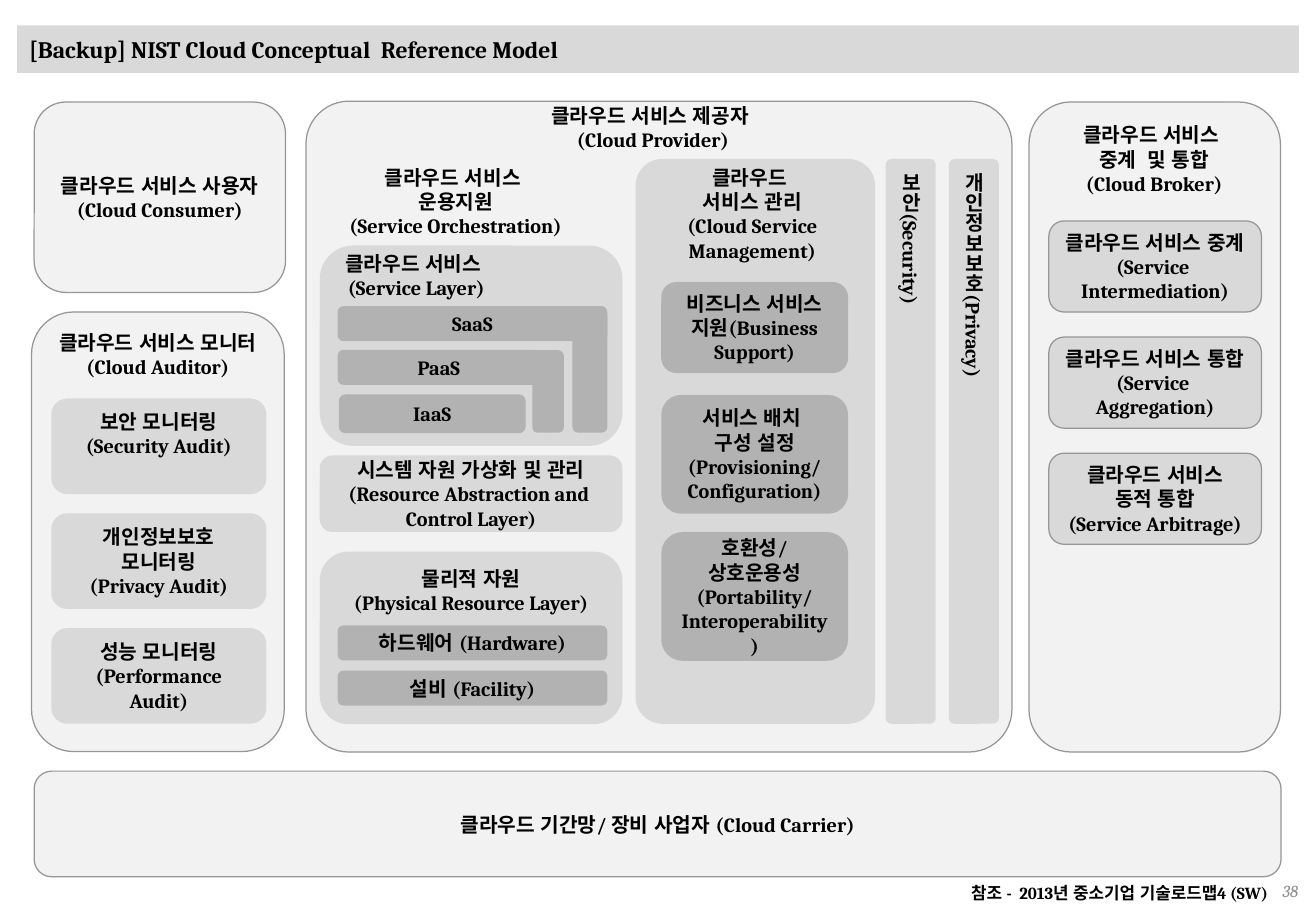
from dataclasses import dataclass
from typing import Optional

from pptx import Presentation
from pptx.dml.color import RGBColor
from pptx.enum.lang import MSO_LANGUAGE_ID as Lang
from pptx.enum.shapes import MSO_SHAPE as Shape
from pptx.enum.text import MSO_ANCHOR as Anchor, PP_ALIGN as Align
from pptx.util import Inches, Pt

WIDTH, HEIGHT = 10.83, 7.5
FONT = "Cambria"
BLACK, GRAY = "000000", "8C8C8C"
PANEL, GROUP, ITEM, EDGE = "F2F2F2", "D9D9D9", "B2B2B2", "969696"


@dataclass
class Box:
    """Lengths are percentages of the slide's width and height."""
    x: float
    y: float
    w: float
    h: float
    lines: tuple[str, ...] = ()
    fill: Optional[str] = None
    edge: Optional[str] = None
    radius: Optional[float] = None
    anchor: Anchor = Anchor.MIDDLE
    align: Align = Align.CENTER
    size: float = 12
    color: str = BLACK
    bold: bool = True
    italic: bool = False
    wrap: bool = True
    vertical: bool = False
    kind: Shape = Shape.ROUNDED_RECTANGLE


def rgb(value: str) -> RGBColor:
    return RGBColor.from_string(value)


def across(share: float) -> int:
    return Inches(WIDTH * share / 100)


def down(share: float) -> int:
    return Inches(HEIGHT * share / 100)


def write(sp, box: Box) -> None:
    tf = sp.text_frame
    tf.word_wrap = box.wrap
    tf.vertical_anchor = box.anchor
    if box.vertical:
        sp.element.txBody.bodyPr.set("vert", "eaVert")
    for i, line in enumerate(box.lines):
        p = tf.add_paragraph() if i else tf.paragraphs[0]
        p.alignment = box.align
        r = p.add_run()
        r.text = line
        font = r.font
        font.name, font.size = FONT, Pt(box.size)
        font.bold, font.italic = box.bold, box.italic
        font.color.rgb = rgb(box.color)
        font.language_id = Lang.KOREAN


def draw(s, box: Box) -> None:
    place = across(box.x), down(box.y), across(box.w), down(box.h)
    if box.fill is None:
        write(s.shapes.add_textbox(*place), box)
        return
    sp = s.shapes.add_shape(box.kind, *place)
    sp.shadow.inherit = False
    sp.fill.solid()
    sp.fill.fore_color.rgb = rgb(box.fill)
    if box.edge:
        sp.line.color.rgb = rgb(box.edge)
        sp.line.width = Pt(0.75)
    else:
        sp.line.fill.background()
    if box.radius is not None:
        sp.adjustments[0] = box.radius
    if box.lines:
        write(sp, box)


def panel(x: float, y: float, w: float, h: float, *lines: str, **style) -> Box:
    return Box(x, y, w, h, lines, PANEL, EDGE, wrap=False, **style)


def group(x: float, y: float, w: float, h: float, *lines: str, **style) -> Box:
    return Box(x, y, w, h, lines, GROUP, **style)


def item(x: float, y: float, w: float, h: float, *lines: str) -> Box:
    return Box(x, y, w, h, lines, ITEM)


def label(x: float, y: float, w: float, h: float, *lines: str) -> Box:
    return Box(x, y, w, h, lines, anchor=Anchor.TOP)


audits = [
    (("보안 모니터링(Security Audit)",), Anchor.TOP),
    (("개인정보보호", "모니터링", "(Privacy Audit)"), Anchor.MIDDLE),
    (("성능 모니터링(Performance Audit)",), Anchor.MIDDLE),
]
broker_services = [
    ("클라우드 서비스 중계", "(Service ", "Intermediation)"),
    ("클라우드 서비스 통합", "(Service ", "Aggregation)"),
    ("클라우드 서비스", "동적 통합", "(Service Arbitrage)"),
]
safeguards = ["보안(Security)", "개인정보보호(Privacy)"]
resources = ["하드웨어 (Hardware)", "설비 (Facility)"]

header = [
    Box(76.2, 96.15, 23.35, 3.2, ("38",), align=Align.RIGHT, size=10,
        color=GRAY, bold=False, italic=True),
    group(1.3, 2.8, 97.4, 5.2, "[Backup] NIST Cloud Conceptual  Reference Model",
          align=Align.LEFT, size=14, kind=Shape.RECTANGLE),
]
actors = [
    panel(2.6, 11.2, 19.1, 20.9, "클라우드 서비스 사용자", "(Cloud Consumer)"),
    panel(2.4, 34.25, 19.2, 48.25, "클라우드 서비스 모니터", "(Cloud Auditor)",
          anchor=Anchor.TOP),
    panel(23.25, 11.1, 53.65, 71.45, radius=0.066),
    label(23.35, 10.65, 52.55, 6.65, "클라우드 서비스 제공자 ", "(Cloud Provider)"),
    panel(78.2, 11.2, 19.1, 71.35),
    label(78.1, 12.8, 19.2, 9.45, "클라우드 서비스 ", "중계  및 통합", "(Cloud Broker)"),
    panel(2.6, 84.65, 94.75, 11.6, "클라우드 기간망/ 장비 사업자 (Cloud Carrier)"),
    Box(44.7, 96.25, 52.55, 3.6, ("참조 -  2013년 중소기업 기술로드맵4 (SW)",),
        anchor=Anchor.TOP, align=Align.RIGHT, size=10),
]
auditor = [group(3.9, 43.75 + 12.6 * i, 16.35, 10.5, *lines, anchor=anchor)
           for i, (lines, anchor) in enumerate(audits)]
orchestration = [
    label(23.35, 17.45, 22.55, 9.45, "클라우드 서비스 ", "운용지원",
          "(Service Orchestration)"),
    group(24.3, 26.95, 23, 22),
    group(24.3, 50, 23, 8.4, "시스템 자원 가상화 및 관리",
          "(Resource Abstraction and ", "Control Layer)"),
    label(23.35, 26.95, 16.55, 6.65, "클라우드 서비스 ", "(Service Layer)"),
    group(24.3, 60.55, 23, 18.95, "물리적 자원", "(Physical Resource Layer)",
          anchor=Anchor.TOP),
    item(25.65, 33.6, 20.5, 3.85, "SaaS"),
    item(25.65, 38.4, 15.4, 3.85, "PaaS"),
    item(25.75, 43.3, 14.2, 4.25, "IaaS"),
    item(43.5, 34.3, 2.65, 13.2),
    item(40.45, 38.45, 2.4, 9.05),
    *(item(25.65, 68.65 + 4.95 * i, 20.5, 3.85, name)
      for i, name in enumerate(resources)),
]
management = [
    group(48.3, 17.45, 18.2, 62, radius=0.112),
    label(47.85, 17.45, 18.65, 12.15, "클라우드 ", "서비스 관리",
          "(Cloud Service Management)"),
    item(50.25, 30.95, 14.2, 10, "비즈니스 서비스 지원(Business Support)"),
    item(50.25, 43.35, 14.2, 13.05, "서비스 배치 ", "구성 설정",
         "(Provisioning/Configuration)"),
    item(50.25, 58.4, 14.2, 14.15, "호환성/", "상호운용성", "(Portability/",
         "Interoperability)"),
]
protection = [group(67.3 + 4.8 * i, 17.45, 3.8, 62, name, radius=0.112, vertical=True)
              for i, name in enumerate(safeguards)]
broker = [group(79.7, 24.25 + 12.75 * i, 16.15, 10, *lines, edge=EDGE, wrap=False)
          for i, lines in enumerate(broker_services)]

prs = Presentation()
prs.slide_width, prs.slide_height = Inches(WIDTH), Inches(HEIGHT)
s = prs.slides.add_slide(prs.slide_layouts[6])
for section in (header, actors, auditor, orchestration, management, protection, broker):
    for box in section:
        draw(s, box)
prs.save("out.pptx")
